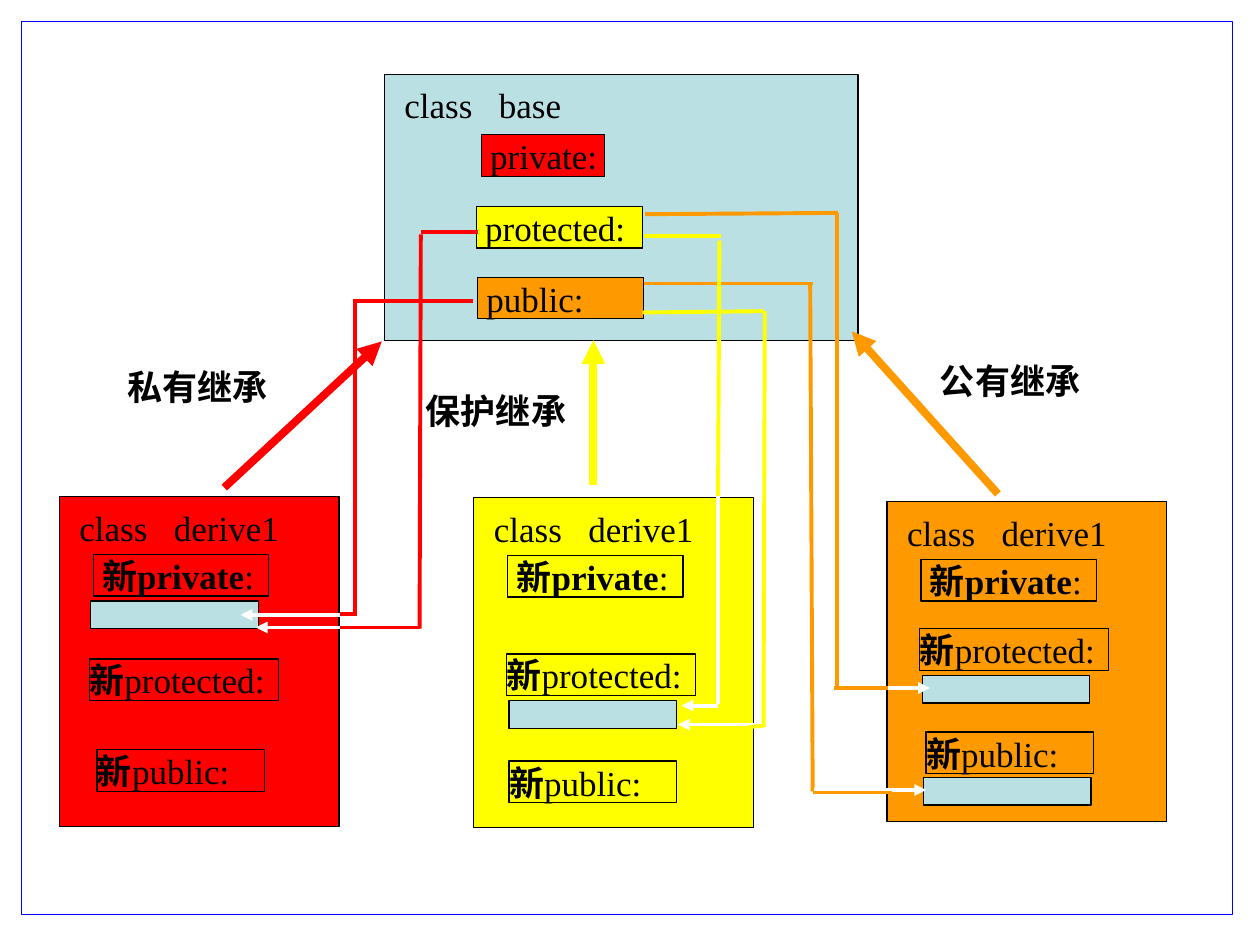
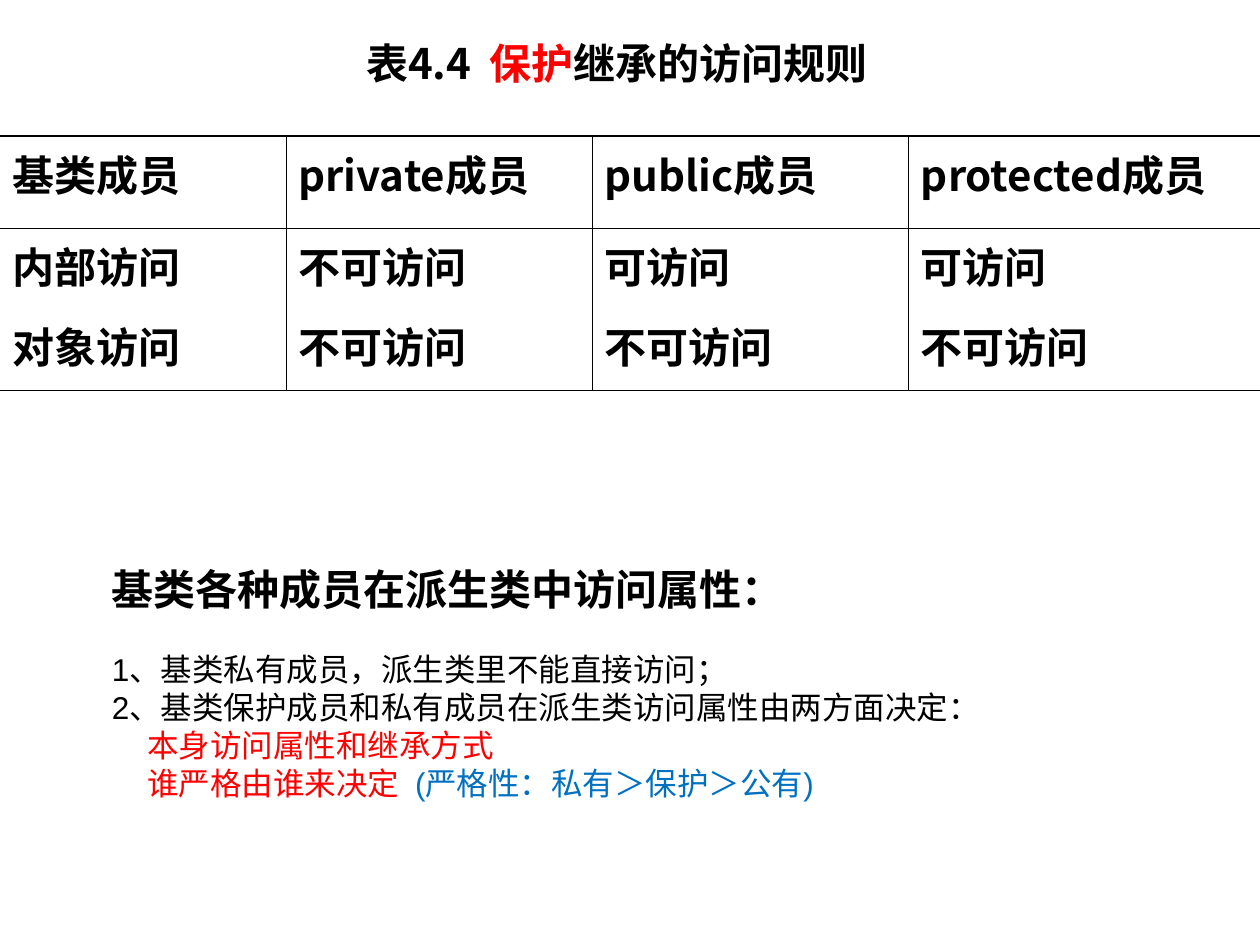
import pptx
import pptx.dml.color
import pptx.enum.shapes
import pptx.enum.text
import pptx.oxml.ns
import pptx.util
from lxml import etree

RGB = pptx.dml.color.RGBColor
BLACK, WHITE = RGB(0, 0, 0), RGB(255, 255, 255)
RED, YELLOW, ORANGE = RGB(255, 0, 0), RGB(255, 255, 0), RGB(255, 153, 0)
PALE_BLUE, FRAME_BLUE, NOTE_BLUE = RGB(187, 224, 227), RGB(0, 0, 255), RGB(0, 112, 192)
CJK_FONT = "Noto Sans CJK SC"
CODE = {"size": pptx.util.Pt(20), "name": "Times New Roman", "bold": False, "color": BLACK}
HEADING = {"size": pptx.util.Pt(24), "name": CJK_FONT, "bold": True, "color": BLACK}
NOTE = {"size": pptx.util.Pt(18), "name": "Arial", "bold": False, "color": BLACK}
BOLD = {"bold": True}
qn = pptx.oxml.ns.qn

deck = pptx.Presentation()
deck.slide_width = pptx.util.Inches(10)
deck.slide_height = pptx.util.Inches(7.5)
# The slide is a grid of 100 columns by 75 rows of square cells
CELL = deck.slide_width // 100


def write(paragraph, runs, base):
    """Add (text, changes) runs; "gap" is extra letter spacing in points."""
    for text, changes in runs:
        run = paragraph.add_run()
        run.text = text
        properties = run._r.get_or_add_rPr()
        for key, value in {**base, **changes}.items():
            if key == "color":
                run.font.color.rgb = value
            elif key == "gap":
                properties.set("spc", str(value * 100))
            else:
                setattr(run.font, key, value)
        etree.SubElement(properties, qn("a:ea"), typeface=CJK_FONT)


def add_box(slide, place, fill=None, line=None, runs=(), indent=0.0):
    """Draw a rectangle placed in grid cells, with code text at its top left."""
    box = slide.shapes.add_shape(pptx.enum.shapes.MSO_SHAPE.RECTANGLE,
                                 *[round(v * CELL) for v in place])
    box.shadow.inherit = False
    for part, color in ((box.fill, fill), (box.line.fill, line)):
        if color is None:
            part.background()
        else:
            part.solid()
            part.fore_color.rgb = color
    if line is not None:
        box.line.width = pptx.util.Pt(0.75)
    frame = box.text_frame
    layout = {"margin_left": round(indent * CELL), "margin_top": 0, "margin_right": 0,
              "margin_bottom": 0, "word_wrap": True,
              "vertical_anchor": pptx.enum.text.MSO_ANCHOR.TOP}
    for key, value in layout.items():
        setattr(frame, key, value)
    frame.paragraphs[0].alignment = pptx.enum.text.PP_ALIGN.LEFT
    write(frame.paragraphs[0], runs, CODE)


# Slide 1: inheritance diagram
diagram = deck.slides.add_slide(deck.slide_layouts[6])
add_box(diagram, (1.7, 1.7, 96.1, 70.9), line=FRAME_BLUE)
ROW = 3.3
SPACE = 0.7
class_gap = (" ", {"gap": 10})

# Base class and its members
add_box(diagram, (30.5, 5.9, 37.6, 21.1), PALE_BLUE, BLACK)
add_box(diagram, (32.1, 6.6, 13, ROW), runs=[("class", {}), class_gap, ("base", {})])
for member, left, top, width, color in (("private:", 38.2, 10.7, 9.8, RED),
                                        ("protected:", 37.8, 16.4, 13.2, YELLOW),
                                        ("public:", 37.9, 22, 13.2, ORANGE)):
    add_box(diagram, (left, top, width, ROW), color, BLACK, [(member, {})], SPACE)

# Derived classes: panel, then the places of protected and public inside it
derived = (
    (RED, 4.7, 39.4, 26.2, (2.4, 12.9), (3, 20.1)),
    (YELLOW, 37.6, 39.5, 26.2, (2.6, 12.4), (2.8, 20.9)),
    (ORANGE, 70.4, 39.8, 25.4, (2.6, 10.1), (3.1, 18.3)),
)
for color, left, top, height, protected, public in derived:
    add_box(diagram, (left, top, 22.2, height), color, BLACK)
    add_box(diagram, (left + 1.6, top + 0.8, 19.5, ROW), color,
            runs=[("class", {}), class_gap, ("derive1", {})])
    add_box(diagram, (left + 2.7, top + 4.6, 13.9, ROW), color, BLACK,
            [("新private", BOLD), (":", {})], SPACE)
    for member, (dx, dy), width in (("protected:", protected, 15), ("public:", public, 13.3)):
        add_box(diagram, (left + dx, top + dy, width, ROW), color, BLACK,
                [("新", BOLD), (member, {})])

# Kinds of inheritance
for kind, left, top in (("私有继承", 9.4, 29), ("保护继承", 33.1, 30.9), ("公有继承", 73.9, 28.5)):
    add_box(diagram, (left, top, 13.2, ROW), WHITE, WHITE, [(kind, BOLD)], SPACE)

# Slots that receive the inherited members
for left, top in ((7.2, 47.7), (40.4, 55.6), (73.2, 53.6), (73.3, 61.7)):
    add_box(diagram, (left, top, 13.3, 2.2), PALE_BLUE, BLACK)

# Lines: colour, width, whether the end has an arrowhead, start and end
THICK, THIN = 4.5, 2.25
links = (
    # Derived class to base class
    (RED, THICK, True, 17.8, 38.7, 30.3, 27.1),
    (YELLOW, THICK, True, 47.1, 38.5, 47.1, 27),
    (ORANGE, THICK, True, 79.2, 39.2, 67.6, 26.3),
    # Public member
    (ORANGE, THIN, False, 51.1, 22.5, 64.5, 22.5),
    (ORANGE, THIN, False, 64.3, 22.4, 64.5, 62.8),
    (WHITE, THIN, True, 64.6, 62.7, 73.5, 62.7),
    (RED, THIN, False, 28.2, 23.9, 37.5, 23.9),
    (RED, THIN, False, 28.2, 23.7, 28.2, 48.7),
    (WHITE, THIN, True, 28.3, 48.8, 19.1, 48.8),
    (YELLOW, THIN, False, 51, 24.8, 60.6, 24.7),
    (YELLOW, THIN, False, 60.7, 24.7, 60.6, 57.7),
    (WHITE, THIN, True, 60.5, 57.5, 53.8, 57.5),
    # Protected member
    (RED, THIN, False, 33.4, 18.4, 37.9, 18.4),
    (RED, THIN, False, 33.4, 18.6, 33.3, 49.9),
    (WHITE, THIN, True, 33.3, 49.8, 20.3, 49.8),
    (ORANGE, THIN, False, 51.2, 17, 66.5, 16.9),
    (ORANGE, THIN, False, 66.4, 16.9, 66.4, 54.7),
    (WHITE, THIN, True, 66.4, 54.6, 73.8, 54.6),
    (YELLOW, THIN, False, 51.1, 18.7, 57.2, 18.7),
    (YELLOW, THIN, False, 57.1, 19.1, 56.9, 56.1),
    (WHITE, THIN, True, 57, 56, 54.1, 56),
    # Recoloured stretches at the panel edges
    (RED, THIN, False, 27, 49.8, 33.3, 49.8),
    (RED, THIN, False, 27, 48.7, 28.3, 48.7),
    (ORANGE, THIN, False, 64.5, 62.9, 70.8, 62.9),
    (ORANGE, THIN, False, 66.2, 54.6, 70.5, 54.6),
    (WHITE, THIN, False, 57, 39.4, 57, 55.9),
    (YELLOW, THIN, False, 59.4, 57.7, 60.6, 57.6),
)
for color, width, arrow, *ends in links:
    link = diagram.shapes.add_connector(pptx.enum.shapes.MSO_CONNECTOR.STRAIGHT,
                                        *[round(v * CELL) for v in ends])
    link.line.color.rgb = color
    link.line.width = pptx.util.Pt(width)
    if arrow:
        etree.SubElement(link.line._get_or_add_ln(), qn("a:tailEnd"), type="triangle")
    etree.SubElement(link._element.spPr, qn("a:effectLst"))

# Slide 2: access rules
rules = deck.slides.add_slide(deck.slide_layouts[6])

# Title
title = rules.shapes.add_textbox(*[round(v * CELL) for v in (1.7, 2.5, 94.5, 69.3)]).text_frame
title.word_wrap = True
title.paragraphs[0].alignment = pptx.enum.text.PP_ALIGN.CENTER
write(title.paragraphs[0],
      [("表4.4", {}), (" ", {"gap": 5}), ("保护", {"name": "Arial", "color": RED}),
       ("继承的", {"name": "Arial"}), ("访问规则", {})], HEADING)

# Table of rules, ruled without outer sides
access = (
    ("基类成员", "private成员", "public成员", "protected成员"),
    ("内部访问", "不可访问", "可访问", "可访问"),
    ("对象访问", "不可访问", "不可访问", "不可访问"),
)
table = rules.shapes.add_table(3, 4, *[round(v * CELL) for v in (0, 10.8, 100, 20.2)]).table
table.first_row = table.horz_banding = False
for column, width in zip(table.columns, (22.7, 24.3, 25.1, 27.9)):
    column.width = round(width * CELL)
for row, height in zip(table.rows, (7.3, 6.4, 6.5)):
    row.height = round(height * CELL)
for r, texts in enumerate(access):
    for c, text in enumerate(texts):
        cell = table.cell(r, c)
        cell.fill.background()
        write(cell.text_frame.paragraphs[0], [(text, {})], HEADING)
        borders = (("a:lnL", 0.45 if c > 0 else 0),
                   ("a:lnR", 0.45 if c < 3 else 0),
                   ("a:lnT", (1.08, 0.45, 0)[r]),
                   ("a:lnB", (0.45, 0, 1.08)[r]))
        cell_properties = cell._tc.get_or_add_tcPr()
        for position, (side, width) in enumerate(borders):
            border = etree.Element(qn(side), w=str(pptx.util.Pt(width)))
            if width:
                paint = etree.SubElement(border, qn("a:solidFill"))
                etree.SubElement(paint, qn("a:srgbClr"), val=str(BLACK))
            else:
                etree.SubElement(border, qn("a:noFill"))
            cell_properties.insert(position, border)

# Summary: runs, space before in points, indent in cells
summary = (
    ([("基类各种成员在派生类中访问属性：", {"size": pptx.util.Pt(24), "bold": True})], 0, 0),
    ([("1、基类私有成员，派生类里不能直接访问；", {})], 21, 0),
    ([("2、基类保护成员和私有成员在派生类访问属性由两方面决定：", {})], 0, 0),
    ([("本身访问属性和继承方式", {"color": RED})], 0, 2.8),
    ([("谁严格由谁来决定", {"color": RED}), (" ", {"gap": 5}),
      ("(严格性：私有＞保护＞公有)", {"color": NOTE_BLUE})], 0, 2.8),
)
notes = rules.shapes.add_textbox(*[round(v * CELL) for v in (7.9, 44.2, 84.2, 20)]).text_frame
notes.word_wrap = True
for number, (runs, space, indent) in enumerate(summary):
    paragraph = notes.add_paragraph() if number else notes.paragraphs[0]
    if space:
        paragraph.space_before = pptx.util.Pt(space)
    if indent:
        paragraph._p.get_or_add_pPr().set("marL", str(round(indent * CELL)))
    write(paragraph, runs, NOTE)

deck.save("out.pptx")
